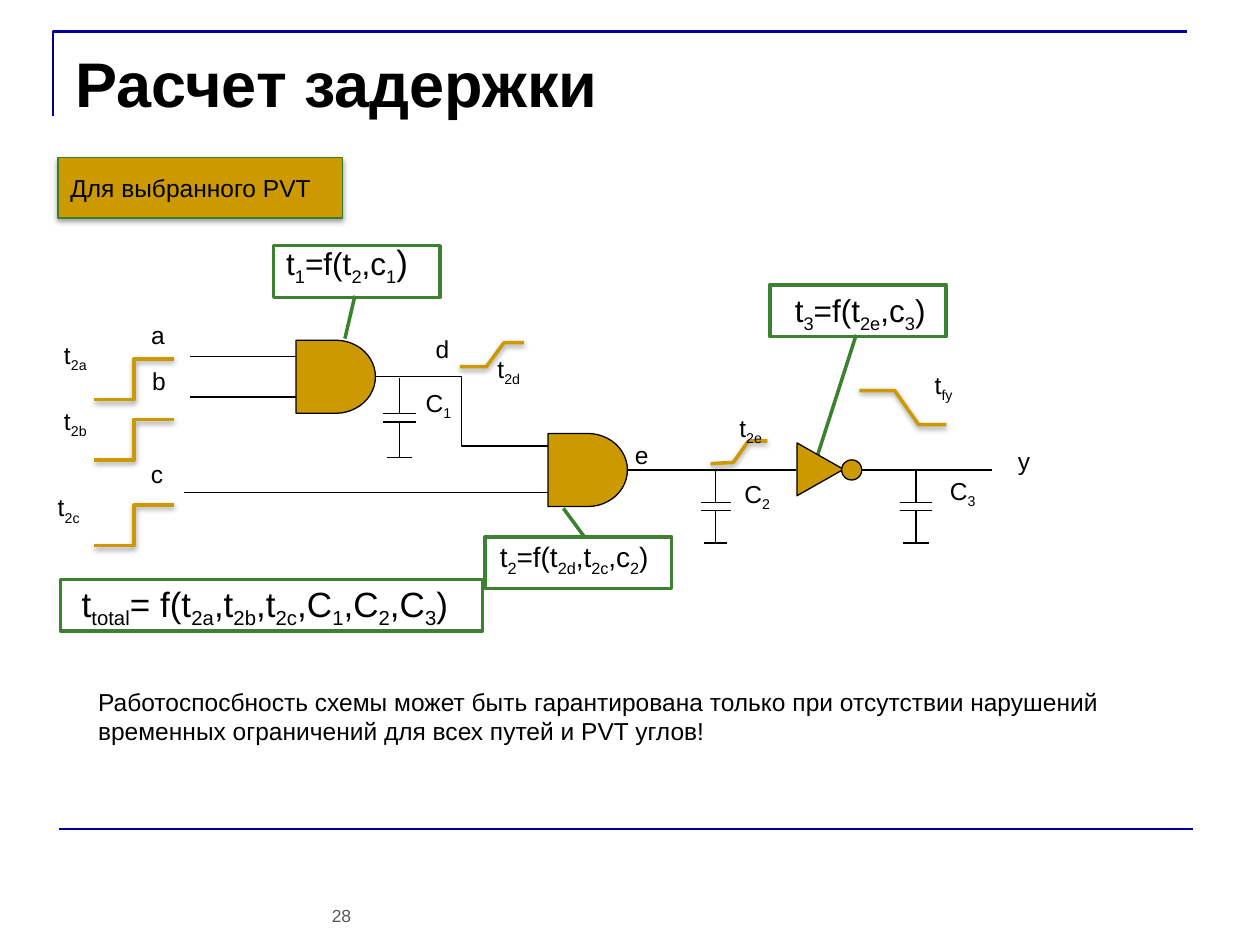
from dataclasses import dataclass
from lxml.etree import SubElement
from pptx import Presentation
from pptx.dml.color import RGBColor
from pptx.enum.shapes import MSO_CONNECTOR, MSO_SHAPE
from pptx.enum.text import MSO_ANCHOR, MSO_AUTO_SIZE, PP_ALIGN
from pptx.oxml.ns import qn
from pptx.util import Inches, Pt


@dataclass(frozen=True)
class Theme:
    font: str = "Arial"
    ink: str = "000000"
    paper: str = "FFFFFF"
    gold: str = "CC9900"
    green: str = "3B812F"
    banner_edge: str = "38802C"
    navy: str = "000099"
    grey: str = "595959"
    title: int = 36
    total: int = 20
    formula: int = 18
    small_formula: int = 16
    body: int = 14
    number: int = 10
    thin: float = 0.75
    rule: float = 1.5
    thick: float = 2


class Schematic:
    def __init__(self, slide, theme):
        self.slide, self.theme = slide, theme
        self.shapes = slide.shapes

    def paint_line(self, shape, color, width, shadow=False):
        shape.line.color.rgb = RGBColor.from_string(color)
        shape.line.width = Pt(width)
        effects = SubElement(shape._element.spPr, qn("a:effectLst"))
        if shadow:
            outer = SubElement(effects, qn("a:outerShdw"), blurRad="40000", dist="20000",
                               dir="5400000", rotWithShape="0")
            black = SubElement(outer, qn("a:srgbClr"), val=self.theme.ink)
            SubElement(black, qn("a:alpha"), val="38000")

    def set_text(self, frame, text, size, color=None, bold=False, align=PP_ALIGN.LEFT,
                 tail_size=None, **frame_format):
        """Fill a frame with text in which [brackets] mark subscripts."""
        for name, value in frame_format.items():
            setattr(frame, name, value)
        paragraph = frame.paragraphs[0]
        paragraph.alignment = align
        for index, part in enumerate(text.replace("]", "[").split("[")):
            run = paragraph.add_run()
            run.text = part
            for name, value in {"name": self.theme.font, "size": Pt(size), "bold": bold}.items():
                setattr(run.font, name, value)
            run.font.color.rgb = RGBColor.from_string(color or self.theme.ink)
            if index % 2:
                run._r.get_or_add_rPr().set("baseline", "-25000")
        if tail_size:
            run.font.size = Pt(tail_size)

    def title(self, text, x, y, w, h):
        heading = self.shapes.title
        box = {"left": x, "top": y, "width": w, "height": h}
        for name, value in box.items():
            setattr(heading, name, Inches(value))
        self.set_text(heading.text_frame, text, self.theme.title, bold=True,
                      vertical_anchor=MSO_ANCHOR.TOP, auto_size=MSO_AUTO_SIZE.NONE)

    def label(self, text, x, y, w, h=0.34, size=None, wrap=False, **style):
        box = self.shapes.add_textbox(*map(Inches, (x, y, w, h)))
        self.set_text(box.text_frame, text, size or self.theme.body, word_wrap=wrap,
                      auto_size=MSO_AUTO_SIZE.SHAPE_TO_FIT_TEXT, **style)

    def block(self, preset, x, y, w, h, fill=None, line=None, width=None, shadow=False,
              rotation=0, adjustments=()):
        shape = self.shapes.add_shape(preset, *map(Inches, (x, y, w, h)))
        shape.fill.solid()
        shape.fill.fore_color.rgb = RGBColor.from_string(fill or self.theme.gold)
        self.paint_line(shape, line or self.theme.ink, width or self.theme.thin, shadow)
        shape.rotation = rotation
        for index, value in enumerate(adjustments):
            shape.adjustments[index] = value
        return shape

    def frame(self, preset, x, y, w, adjustments=()):
        self.block(preset, x, y, w, 0.41, self.theme.paper, self.theme.green,
                   self.theme.thick, adjustments=adjustments)

    def wire(self, x1, y1, x2, y2, kind=MSO_CONNECTOR.STRAIGHT, color=None, width=None,
             shadow=False):
        wire = self.shapes.add_connector(kind, *map(Inches, (x1, y1, x2, y2)))
        self.paint_line(wire, color or self.theme.ink, width or self.theme.thin, shadow)

    def polyline(self, points, color, width, shadow=False):
        start, *rest = [(Inches(x), Inches(y)) for x, y in points]
        builder = self.shapes.build_freeform(*start)
        builder.add_line_segments(rest, close=False)
        outline = builder.convert_to_shape()
        outline.fill.background()
        self.paint_line(outline, color, width, shadow)

    def capacitor(self, x, top, stem, gap, plate=0.13, base=0.1):
        upper, lower = top + stem, top + stem + gap
        bottom = lower + stem
        self.wire(x, top, x, upper)
        for y, half in ((upper, plate), (lower, plate), (bottom, base)):
            self.wire(x - half, y, x + half, y)
        self.wire(x, lower, x, bottom)


def main():
    deck = Presentation()
    deck.slide_width, deck.slide_height = Inches(10), Inches(7.5)
    theme = Theme()
    page = Schematic(deck.slides.add_slide(deck.slide_layouts[5]), theme)

    # Page frame, title and number
    page.polyline([(0.42, 0.92), (0.42, 0.25), (9.42, 0.25)], theme.navy, theme.rule)
    page.wire(0.47, 6.58, 9.47, 6.58, color=theme.navy, width=theme.rule)
    page.label("28", 2.5, 7.13, 0.42, 0.27, theme.number, wrap=True, color=theme.grey,
               align=PP_ALIGN.CENTER)
    page.title("Расчет задержки", 0.5, 0.3, 9, 1.25)

    # Formula frames, with callout lines to the gates
    page.frame(MSO_SHAPE.RECTANGLE, 0.48, 4.6, 3.35)
    for x, y, w, pointer in (
        (3.85, 4.26, 1.48, (-0.01, 0.53, -0.55, 0.42)),
        (6.11, 2.26, 1.4, (0.97, 0.49, 3.31, 0.27)),
        (2.17, 1.95, 1.32, (0.97, 0.49, 1.8, 0.43)),
    ):
        page.frame(MSO_SHAPE.LINE_CALLOUT_1, x, y, w, pointer)

    # Logic gates
    for x, y in ((2.35, 2.7), (4.35, 3.44)):
        page.block(MSO_SHAPE.FLOWCHART_DELAY, x, y, 0.63, 0.58)
    page.block(MSO_SHAPE.FLOWCHART_EXTRACT, 6.3, 3.54, 0.42, 0.37, rotation=90)
    page.block(MSO_SHAPE.FLOWCHART_CONNECTOR, 6.68, 3.65, 0.16, 0.16)

    # Wires
    for x1, x2, y in ((4.98, 6.32, 3.73), (6.84, 7.87, 3.73), (4.35, 1.46, 3.91),
                      (2.35, 1.51, 3.15), (2.35, 1.51, 2.83)):
        page.wire(x1, y, x2, y)
    page.wire(2.98, 2.99, 4.35, 3.54, MSO_CONNECTOR.ELBOW)

    # Load capacitors
    page.capacitor(5.68, 3.73, 0.26, 0.06, plate=0.12, base=0.09)
    page.capacitor(7.27, 3.73, 0.26, 0.06)
    page.capacitor(3.17, 3, 0.28, 0.07)

    # Signal edges: steps at the inputs, ramps at the gate outputs
    for bottom in (3.65, 3.17, 4.33):
        page.wire(0.75, bottom, 1.38, bottom - 0.32, MSO_CONNECTOR.ELBOW, theme.gold,
                  theme.thick, shadow=True)
    for ramp in (
        [(3.65, 2.91), (3.86, 2.91), (4, 2.72), (4.16, 2.72)],
        [(5.64, 3.68), (5.82, 3.67), (5.94, 3.5), (6.09, 3.5)],
        [(6.82, 3.1), (7.1, 3.1), (7.29, 3.37), (7.51, 3.37)],
    ):
        page.polyline(ramp, theme.gold, theme.thick, shadow=True)

    # Net, edge and capacitor labels
    for text, x, y, w in (
        ("a", 1.1, 2.49, 0.31), ("b", 1.11, 2.86, 0.31), ("c", 1.1, 3.59, 0.3),
        ("d", 3.36, 2.6, 0.31), ("e", 4.94, 3.44, 0.31), ("y", 7.98, 3.49, 0.3),
        ("t[2a]", 0.41, 2.65, 0.4), ("t[2b]", 0.41, 3.17, 0.4), ("t[2c]", 0.36, 3.86, 0.39),
        ("t[2d]", 3.85, 2.76, 0.4), ("t[2e]", 5.77, 3.23, 0.4), ("t[fy]", 7.32, 2.89, 0.36),
        ("C[1]", 3.28, 3.03, 0.42), ("C[2]", 5.81, 3.75, 0.42), ("C[3]", 7.44, 3.73, 0.42),
    ):
        page.label(text, x, y, w)

    # Delay formulas
    page.label("t[1]=f(t[2],c[1])", 2.15, 1.86, 1.21, 0.44, theme.formula,
               align=PP_ALIGN.CENTER, tail_size=theme.total)
    page.label("t[2]=f(t[2d],t[2c],c[2])", 3.87, 4.23, 1.46, 0.37, theme.small_formula)
    page.label("t[3]=f(t[2e],c[3])", 6.21, 2.26, 1.3, 0.4, theme.formula)
    page.label("t[total]= f(t[2a],t[2b],t[2c],C[1],C[2],C[3])", 0.55, 4.57, 3.28, 0.44,
               theme.total)

    # Condition banner and conclusion
    banner = page.block(MSO_SHAPE.RECTANGLE, 0.46, 1.25, 2.26, 0.48,
                        line=theme.banner_edge, shadow=True)
    page.set_text(banner.text_frame, "Для выбранного PVT", theme.body,
                  vertical_anchor=MSO_ANCHOR.MIDDLE)
    page.label("Работоспосбность схемы может быть гарантирована только при отсутствии "
               "нарушений временных ограничений для всех путей и PVT углов!",
               0.68, 5.4, 8.82, 0.57, wrap=True)

    deck.save("out.pptx")


if __name__ == "__main__":
    main()
